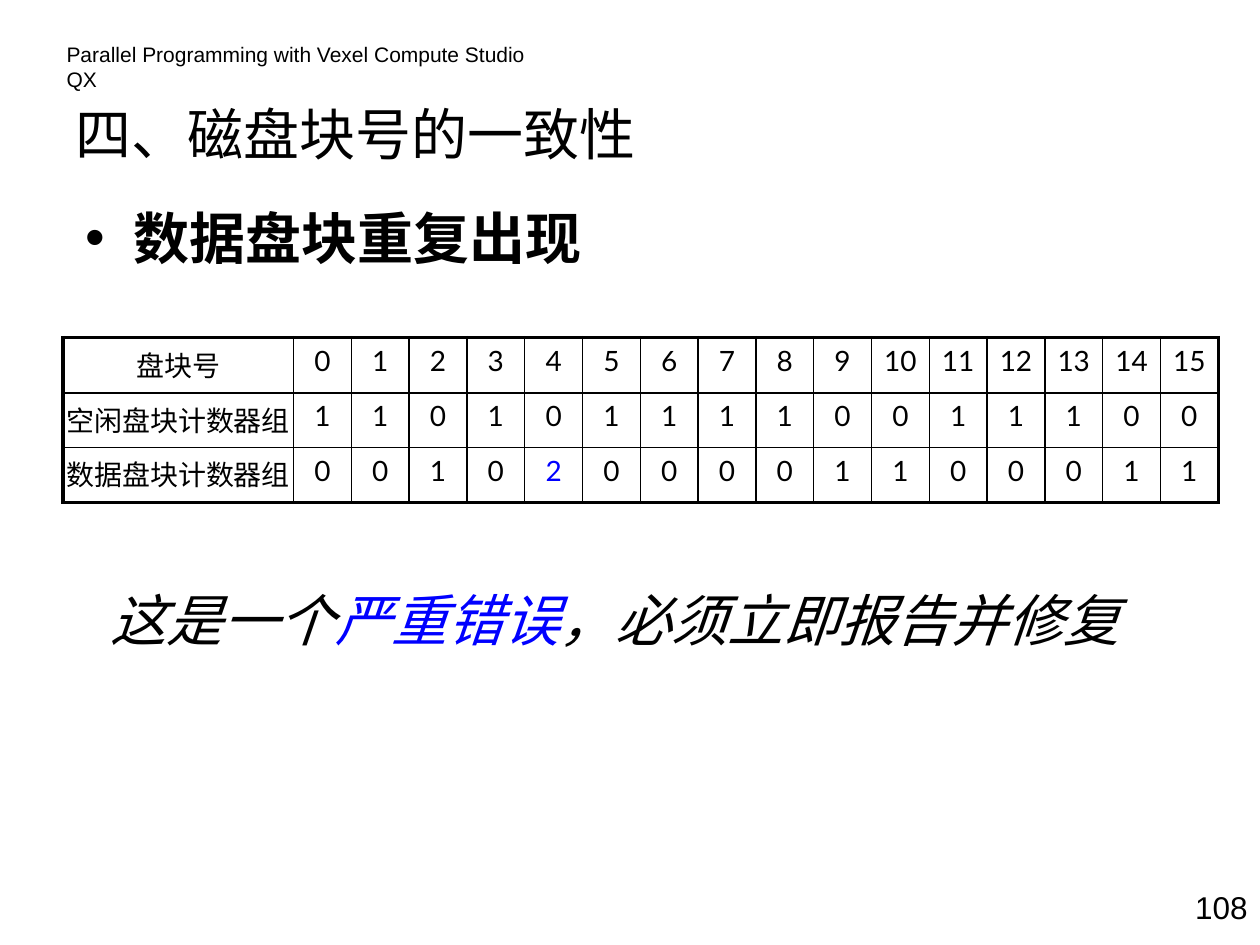
from lxml import etree
from pptx import Presentation
from pptx.dml.color import RGBColor
from pptx.enum import text
from pptx.oxml.ns import qn
from pptx.util import Inches, Pt

BLACK = RGBColor(0x00, 0x00, 0x00)
BLUE = RGBColor(0x00, 0x00, 0xFF)
CJK = "Noto Sans CJK SC"


def add_run(p, words, color=BLACK, **fmt):
    r = p.add_run()
    r.text = words
    for name, value in fmt.items():
        setattr(r.font, name, value)
    r.font.color.rgb = color
    ea = etree.SubElement(r.font._element, qn("a:ea"))
    ea.set("typeface", CJK)


def add_border(tcPr, side, width):
    ln = etree.SubElement(tcPr, qn("a:ln" + side), w=str(Pt(width)))
    fill = etree.SubElement(ln, qn("a:solidFill"))
    etree.SubElement(fill, qn("a:srgbClr"), val=str(BLACK))


prs = Presentation()
prs.slide_width, prs.slide_height = Inches(10), Inches(7.5)
s = prs.slides.add_slide(prs.slide_layouts[1])

# Running header and page number
for words, box, size, align in [
    ("Parallel Programming with Vexel Compute Studio QX",
     (0.43, 0.28, 4.1, 0.3), 12, text.PP_ALIGN.LEFT),
    ("108", (9.17, 7, 0.83, 0.5), 18, text.PP_ALIGN.RIGHT),
]:
    tf = s.shapes.add_textbox(*map(Inches, box)).text_frame
    tf.word_wrap = True
    p = tf.paragraphs[0]
    p.alignment = align
    add_run(p, words, size=Pt(size), name="Arial")

# Title and body placeholders
title, body = s.shapes.title, s.placeholders[1]
for sp, box, anchor in [
    (title, (0.5, 0.68, 7.17, 0.75), text.MSO_ANCHOR.MIDDLE),
    (body, (0.58, 1.51, 9.17, 4.5), text.MSO_ANCHOR.TOP),
]:
    sp.left, sp.top, sp.width, sp.height = map(Inches, box)
    sp.text_frame.auto_size = text.MSO_AUTO_SIZE.NONE
    sp.text_frame.vertical_anchor = anchor

p = title.text_frame.paragraphs[0]
p.alignment = text.PP_ALIGN.LEFT
add_run(p, "四、磁盘块号的一致性", size=Pt(32), name=CJK)

# Body: a bullet above the table, a conclusion below it
tf = body.text_frame
heading, conclusion = tf.paragraphs[0], tf.add_paragraph()
for p, margin, indent, before, bullet in [
    (heading, 0.38, -0.38, 0, "•"),
    (conclusion, 0.2, 0, 176, None),
]:
    p.line_spacing = 1.1
    p.space_before = Pt(before)
    pPr = p._p.get_or_add_pPr()
    pPr.set("marL", str(Inches(margin)))
    pPr.set("indent", str(Inches(indent)))
    if bullet:
        etree.SubElement(pPr, qn("a:buFont"), typeface="Arial")
        etree.SubElement(pPr, qn("a:buChar"), char=bullet)
    else:
        etree.SubElement(pPr, qn("a:buNone"))

add_run(heading, "数据盘块重复出现", size=Pt(32), name=CJK, bold=True)
for words, color in [("这是一个", BLACK), ("严重错误", BLUE),
                     ("，必须立即报告并修复", BLACK)]:
    add_run(conclusion, words, color, size=Pt(32), name=CJK, italic=True)

# Block counter table
rows = [
    ["盘块号", *range(16)],
    ["空闲盘块计数器组", 1, 1, 0, 1, 0, 1, 1, 1, 1, 0, 0, 1, 1, 1, 0, 0],
    ["数据盘块计数器组", 0, 0, 1, 0, 2, 0, 0, 0, 0, 1, 1, 0, 0, 0, 1, 1],
]
last_row, last_col = len(rows) - 1, len(rows[0]) - 1
table = s.shapes.add_table(len(rows), len(rows[0]), Inches(0.5), Inches(2.68),
                           Inches(9.17), Inches(1.31)).table
table.first_row = table.horz_banding = False
for j, column in enumerate(table.columns):
    column.width = Inches(0.4587 if j else 1.83)
for row, height in zip(table.rows, (0.44, 0.43, 0.44)):
    row.height = Inches(height)

for i, values in enumerate(rows):
    for j, value in enumerate(values):
        cell = table.cell(i, j)
        cell.margin_left = cell.margin_right = 0
        p = cell.text_frame.paragraphs[0]
        p.alignment = text.PP_ALIGN.CENTER
        add_run(p, str(value), BLUE if value == 2 and i else BLACK,
                size=Pt(16), name="Lato")
        # Thick outer frame, thin inner grid
        tcPr = cell._tc.get_or_add_tcPr()
        for side, outer in [("L", j == 0), ("R", j == last_col),
                            ("T", i == 0), ("B", i == last_row)]:
            add_border(tcPr, side, 2.25 if outer else 1)
        cell.fill.background()

prs.save("out.pptx")
